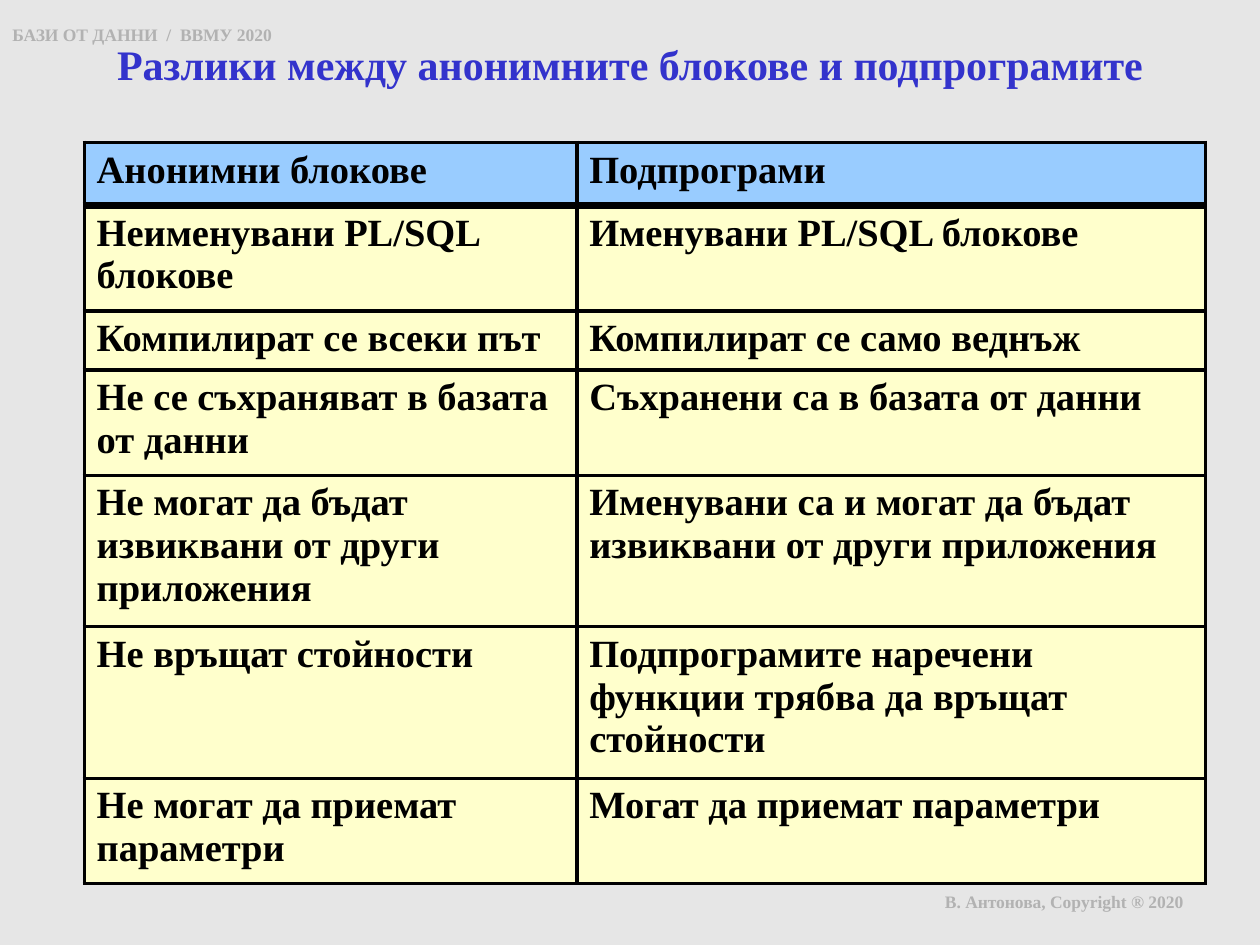
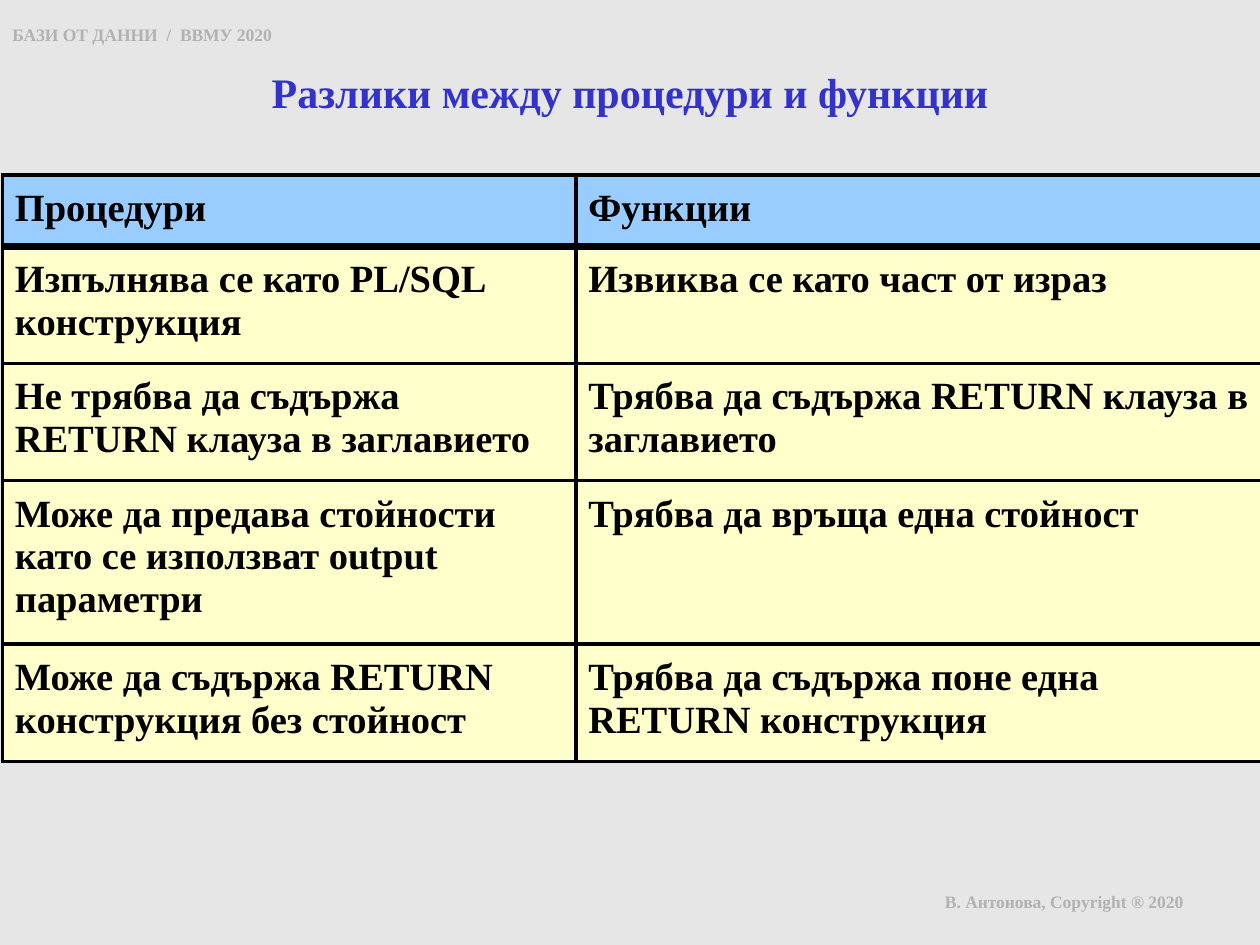
from lxml import etree
from pptx import Presentation, util as u
from pptx.dml.color import RGBColor
from pptx.enum import text
from pptx.oxml import ns

FONT = "Times New Roman"
COLORS = {
    "background": "E6E6E6",
    "title": "3333CC",
    "note": "B2B2B2",
    "ink": "000000",
    "header": "99CCFF",
    "body": "FFFFCC",
}
LINE_HEIGHT = 0.93  # one line of table text, in cm
SIDE_MARGIN = 0.25
THIN, THICK = 2.25, 4.5


def color(name):
    return RGBColor.from_string(COLORS[name])


def add_run(p, wording, size, color_name):
    r = p.add_run()
    r.text = wording
    r.font.name = FONT
    r.font.size = u.Pt(size)
    r.font.bold = True
    r.font.color.rgb = color(color_name)


def place(sp, box):
    sp.left, sp.top, sp.width, sp.height = (u.Cm(v) for v in box)


def add_title(s, wording, box):
    sp = s.shapes.title
    place(sp, box)
    tf = sp.text_frame
    tf.word_wrap = True
    tf.auto_size = text.MSO_AUTO_SIZE.NONE
    tf.vertical_anchor = text.MSO_ANCHOR.TOP
    p = tf.paragraphs[0]
    p.alignment = text.PP_ALIGN.CENTER
    add_run(p, wording, 24, "title")


def add_note(s, wording, box):
    sp = s.shapes.add_textbox(*(u.Cm(v) for v in box))
    tf = sp.text_frame
    tf.word_wrap = True
    add_run(tf.paragraphs[0], wording, 10, "note")


def add_frame_notes(s):
    """Course name at the top left, author at the bottom right."""
    add_note(s, "БАЗИ ОТ ДАННИ  /  ВВМУ 2020", (0, 0.36, 7.6, 0.68))
    add_note(s, "В. Антонова, Copyright ® 2020", (18.8, 17.83, 6.6, 1.07))


def set_borders(cell, widths):
    """Draw the cell's sides; widths maps L, R, T and B to points."""
    tc_pr = cell._tc.get_or_add_tcPr()
    for side, width in widths.items():
        ln = etree.SubElement(tc_pr, ns.qn(f"a:ln{side}"), w=str(u.Pt(width)))
        fill = etree.SubElement(ln, ns.qn("a:solidFill"))
        etree.SubElement(fill, ns.qn("a:srgbClr"), val=COLORS["ink"])


def fill_cell(cell, wording, row, margin):
    set_borders(cell, {
        "L": THIN,
        "R": THIN,
        "T": THICK if row == 1 else THIN,
        "B": THICK if row == 0 else THIN,
    })
    cell.fill.solid()
    cell.fill.fore_color.rgb = color("body" if row else "header")
    cell.margin_left = cell.margin_right = u.Cm(SIDE_MARGIN)
    cell.margin_top = cell.margin_bottom = u.Cm(margin)
    cell.vertical_anchor = text.MSO_ANCHOR.TOP
    add_run(cell.text_frame.paragraphs[0], wording, 22, "ink")


def add_comparison(s, left, top, col_widths, margin, rows):
    """Two-column table; each row is (line count, left text, right text)."""
    heights = [LINE_HEIGHT * lines + 2 * margin for lines, *_ in rows]
    frame = s.shapes.add_table(
        len(rows), len(col_widths), u.Cm(left), u.Cm(top),
        u.Cm(sum(col_widths)), u.Cm(sum(heights)))
    table = frame.table
    table.horz_banding = False
    for column, width in zip(table.columns, col_widths):
        column.width = u.Cm(width)
    for i, (_, *wordings) in enumerate(rows):
        table.rows[i].height = u.Cm(heights[i])
        for j, wording in enumerate(wordings):
            fill_cell(table.cell(i, j), wording, i, margin)


def comparison_slide(prs, title, title_box, **table):
    s = prs.slides.add_slide(prs.slide_layouts[5])
    add_frame_notes(s)
    add_title(s, title, title_box)
    add_comparison(s, **table)


def main():
    prs = Presentation()
    prs.slide_width, prs.slide_height = u.Cm(25.4), u.Cm(19.05)
    background = prs.slide_master.background.fill
    background.solid()
    background.fore_color.rgb = color("background")

    # Anonymous blocks and subprograms
    comparison_slide(
        prs, "Разлики между анонимните блокове и подпрограмите",
        (1.7, 0.64, 22, 1.68),
        left=1.7, top=2.87, col_widths=(9.93, 12.67), margin=0.13,
        rows=[
            (1.09, "Анонимни блокове", "Подпрограми"),
            (2, "Неименувани PL/SQL блокове", "Именувани PL/SQL блокове"),
            (1, "Компилират се всеки път", "Компилират се само веднъж"),
            (2, "Не се съхраняват в базата от данни",
             "Съхранени са в базата от данни"),
            (3, "Не могат да бъдат извиквани от други приложения",
             "Именувани са и могат да бъдат извиквани от други приложения"),
            (3, "Не връщат стойности",
             "Подпрограмите наречени функции трябва да връщат стойности"),
            (2, "Не могат да приемат параметри", "Могат да приемат параметри"),
        ])

    # Procedures and functions
    comparison_slide(
        prs, "Разлики между процедури и функции",
        (1.7, 1.22, 22, 1.4),
        left=0.05, top=3.53, col_widths=(11.56, 13.84), margin=0.25,
        rows=[
            (1, "Процедури", "Функции"),
            (2, "Изпълнява се като PL/SQL конструкция",
             "Извиква се като част от израз"),
            (2, "Не трябва да съдържа RETURN клауза в заглавието",
             "Трябва да съдържа RETURN клауза в заглавието"),
            (3, "Може да предава стойности като се използват output параметри",
             "Трябва да връща една стойност"),
            (2, "Може да съдържа RETURN конструкция без стойност",
             "Трябва да съдържа поне една RETURN конструкция"),
        ])

    prs.save("out.pptx")


if __name__ == "__main__":
    main()
